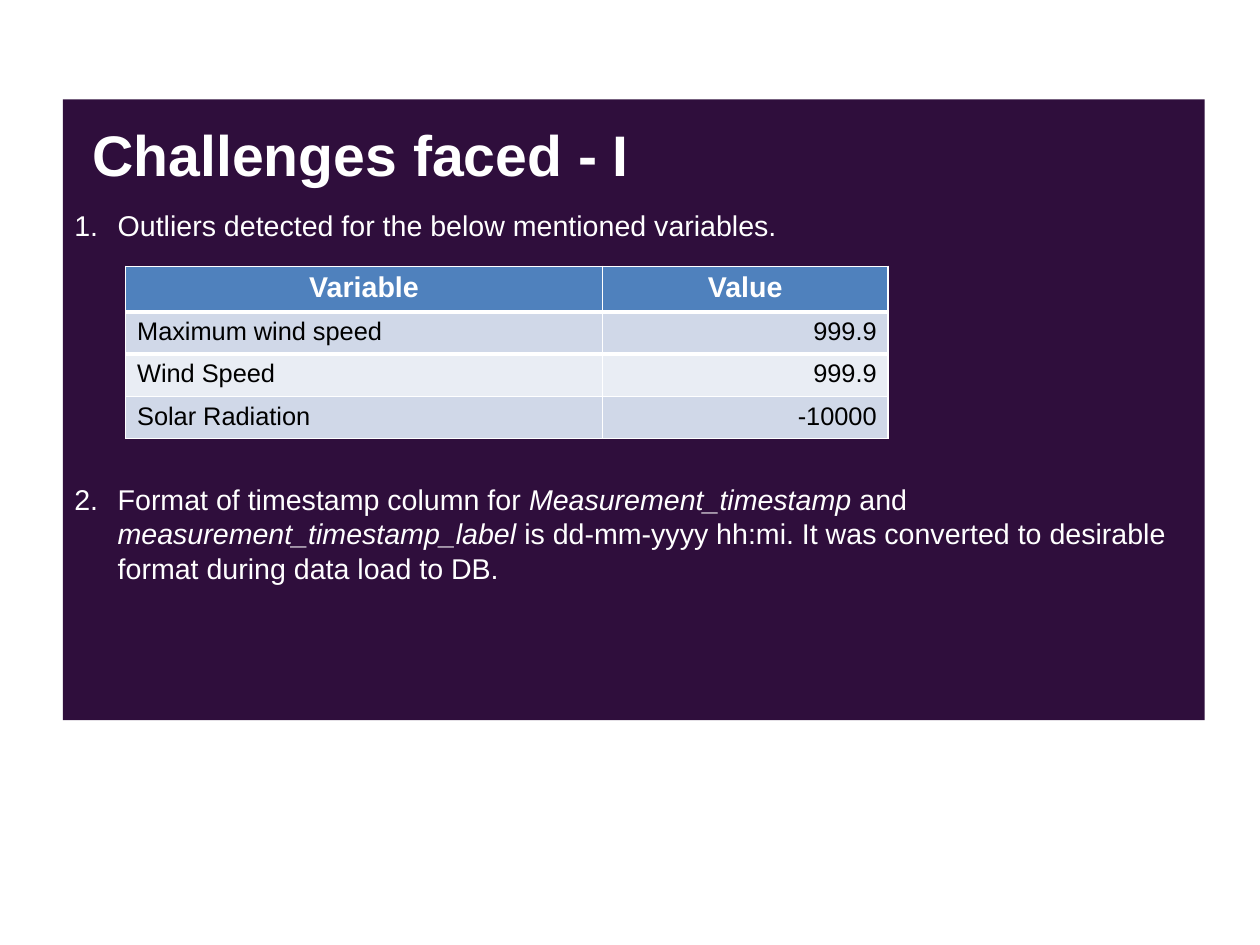
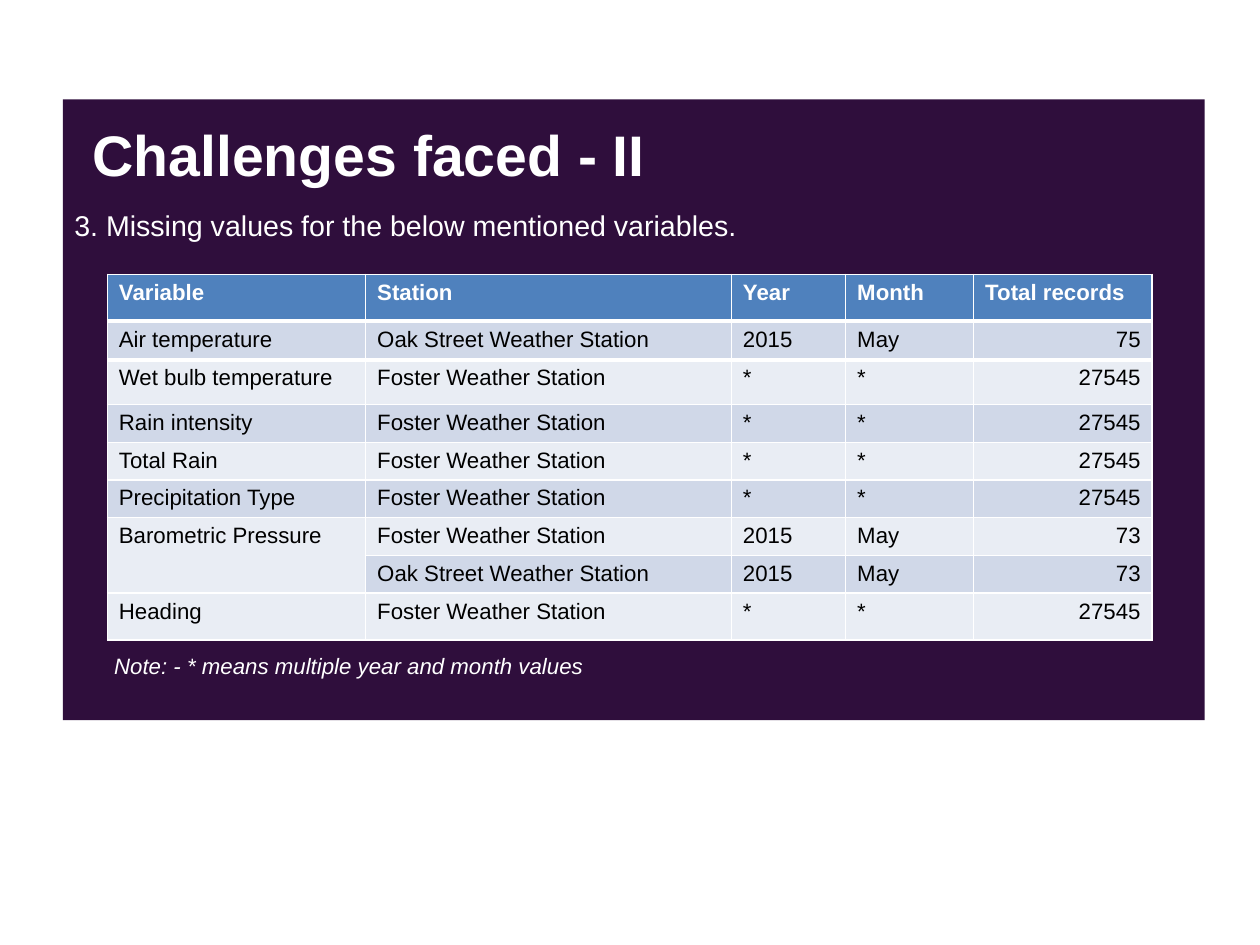
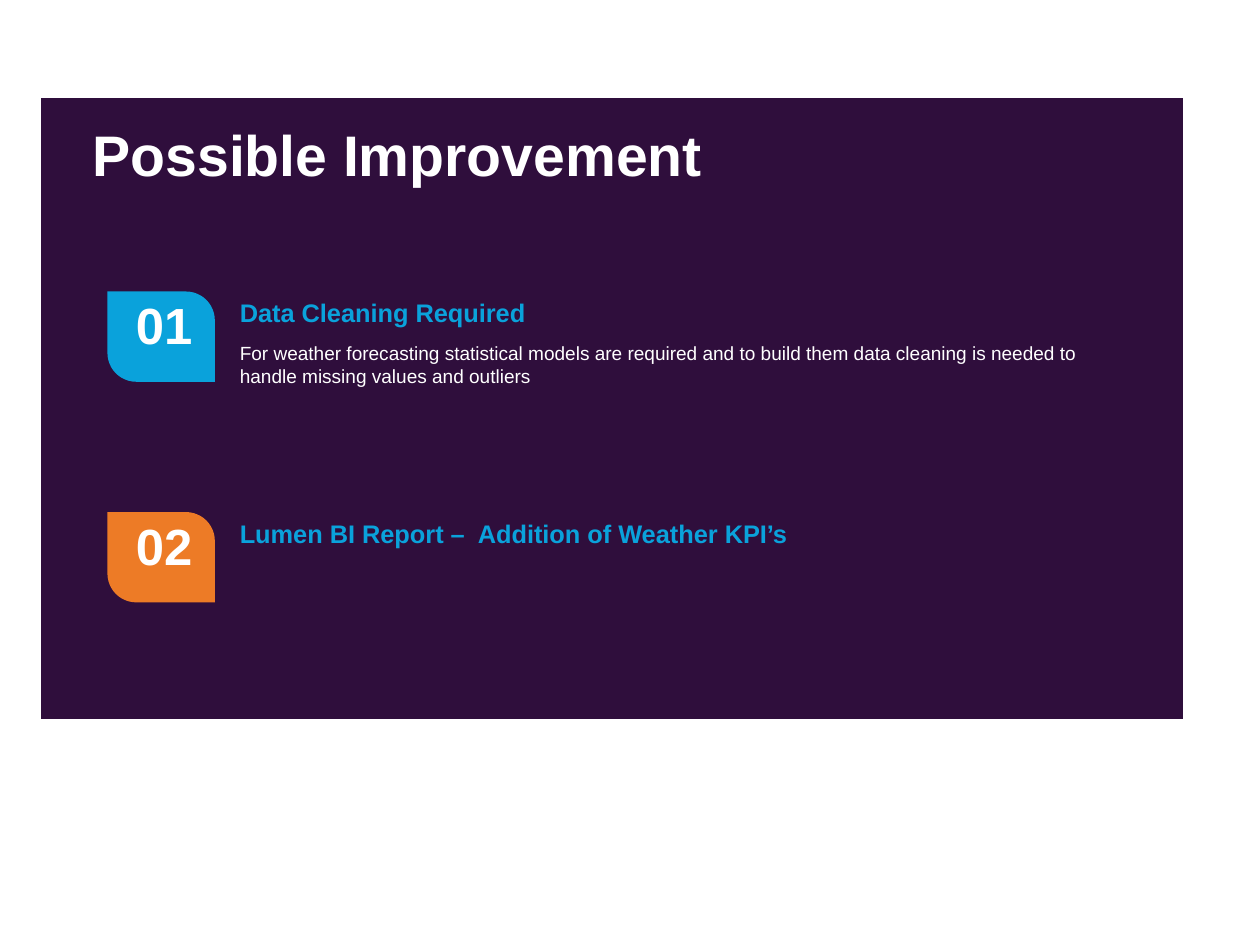
from lxml.etree import SubElement
from pptx import Presentation
from pptx.dml.color import RGBColor
from pptx.enum.shapes import MSO_SHAPE as Shape
from pptx.enum.text import MSO_ANCHOR as Anchor, MSO_AUTO_SIZE as Fit, PP_ALIGN as Align
from pptx.oxml.ns import qn
from pptx.util import Inches, Pt

PLUM = RGBColor(0x2F, 0x0E, 0x3C)
WHITE = RGBColor(0xFF, 0xFF, 0xFF)
BLACK = RGBColor(0, 0, 0)
HEAD = RGBColor(0x4F, 0x81, 0xBD)
BANDS = RGBColor(0xD0, 0xD8, 0xE8), RGBColor(0xE9, 0xED, 0xF4)
CYAN = RGBColor(0x0A, 0xA2, 0xDB)
AMBER = RGBColor(0xED, 0x7B, 0x26)
FONT = "Arial"
LIST, BARE = 1, 5  # layouts: title and content, title only
WIDE, HIGH = 28 / 2.54, 21 / 2.54  # 28 by 21 cm
PANEL = 0.55, 0.87, 9.99, 5.43


def style(para, size, color=WHITE, bold=False, italic=False, align=Align.LEFT):
    font = para.font
    font.name, font.size, font.bold, font.italic = FONT, Pt(size), bold, italic
    font.color.rgb = color
    para.alignment = align


def place(shape, box):
    shape.left, shape.top, shape.width, shape.height = map(Inches, box)


def frame(shape):
    """Set up the text frame of a shape and return it."""
    text = shape.text_frame
    text.word_wrap = True
    text.auto_size = Fit.NONE
    text.vertical_anchor = Anchor.TOP
    return text


def block(slide, kind, box, color):
    shape = slide.shapes.add_shape(kind, *map(Inches, box))
    shape.shadow.inherit = False
    shape.fill.solid()
    shape.fill.fore_color.rgb = color
    shape.line.fill.background()
    return shape


def label(slide, box, words, size, **look):
    text = frame(slide.shapes.add_textbox(*map(Inches, box)))
    text.text = words
    style(text.paragraphs[0], size, **look)


def start(deck, layout, title, panel=PANEL):
    """Add a slide with its dark panel at the back and its title."""
    slide = deck.slides.add_slide(deck.slide_layouts[layout])
    back = block(slide, Shape.RECTANGLE, panel, PLUM).element
    back.getparent().insert(2, back)
    head = slide.shapes.title
    place(head, (0.71, 0.99, 9.69, 0.72))
    text = frame(head)
    text.text = title
    style(text.paragraphs[0], 36, bold=True)
    return slide


def points(slide, items, gap=0, number=True):
    """Fill the body; each item is a list of runs, in turn plain and italic."""
    left, top, width, height = PANEL
    body = slide.placeholders[1]
    place(body, (left, top + 0.9, width, height - 0.9))
    text = frame(body)
    for i, runs in enumerate(items):
        para = text.add_paragraph() if i else text.paragraphs[0]
        para.space_before = Pt(gap if i else 0)
        style(para, 18)
        for j, words in enumerate(runs):
            run = para.add_run()
            run.text = words
            if j % 2:
                run.font.italic = True
        props = para._p.get_or_add_pPr()
        indent = Inches(0.38) if number else 0
        props.set("marL", str(indent))
        props.set("indent", str(-indent))
        mark = props.makeelement(qn("a:buAutoNum" if number else "a:buNone"))
        if number:
            mark.set("type", "arabicPeriod")
        props.find(qn("a:defRPr")).addprevious(mark)


def edge(cell, side, width):
    """Draw a white border on one side of a cell."""
    props = cell._tc.get_or_add_tcPr()
    line = props.makeelement(qn("a:ln" + side), {"w": str(Pt(width))})
    fill = SubElement(line, qn("a:solidFill"))
    SubElement(fill, qn("a:srgbClr"), val=str(WHITE))
    props.insert(0, line)


def grid(slide, left, top, cols, heights, rows, sizes, align=Align.LEFT):
    """Add a banded table; sizes are for the head and the body."""
    box = left, top, sum(cols), sum(heights)
    table = slide.shapes.add_table(len(rows), len(cols), *map(Inches, box)).table
    for col, width in zip(table.columns, cols):
        col.width = Inches(width)
    for i, (row, height) in enumerate(zip(rows, heights)):
        table.rows[i].height = Inches(height)
        for j, words in enumerate(row):
            cell = table.cell(i, j)
            cell.text = words
            cell.fill.solid()
            cell.fill.fore_color.rgb = BANDS[(i - 1) % 2] if i else HEAD
            para = cell.text_frame.paragraphs[0]
            if i:
                side = Align.RIGHT if j == len(cols) - 1 else Align.LEFT
                style(para, sizes[1], BLACK, align=side)
            else:
                style(para, sizes[0], bold=True, align=align)
            if i < 2:
                edge(cell, "T" if i else "B", 3)
    return table


def step(slide, left, top, number, color, title, detail=None):
    badge = block(slide, Shape.ROUND_2_DIAG_RECTANGLE, (left, top, 0.94, 0.79), color)
    badge.adjustments[0] = 0
    badge.adjustments[1] = 0.32
    label(slide, (left + 0.15, top - 0.03, 0.85, 0.59), number, 32, bold=True)
    label(slide, (left + 1.06, top, 7.06, 0.38), title, 16, color=CYAN, bold=True)
    if detail:
        label(slide, (left + 1.06, top + 0.39, 7.53, 0.49), detail, 12)


def outliers(deck):
    slide = start(deck, LIST, "Challenges faced - I")
    points(slide, [
        ["Outliers detected for the below mentioned variables."],
        ["Format of timestamp column for ", "Measurement_timestamp ", "and ",
         "measurement_timestamp_label ",
         "is dd-mm-yyyy hh:mi. It was converted to desirable format during data load to DB."],
    ], gap=151)
    rows = [("Variable", "Value"), ("Maximum wind speed", "999.9"),
            ("Wind Speed", "999.9"), ("Solar Radiation", "-10000")]
    grid(slide, 1.1, 2.33, (4.17, 2.5), [0.4] + [0.37] * 3, rows, (18, 16), Align.CENTER)


def missing(deck):
    slide = start(deck, LIST, "Challenges faced - II")
    points(slide, [["3. Missing values for the below mentioned variables."]], number=False)
    oak, foster = "Oak Street Weather Station", "Foster Weather Station"
    may = "2015", "May"
    many = foster, "*", "*", "27545"
    rows = [
        ("Variable", "Station", "Year", "Month", "Total records"),
        ("Air temperature", oak, *may, "75"),
        ("Wet bulb temperature", *many),
        ("Rain intensity", *many),
        ("Total Rain", *many),
        ("Precipitation Type", *many),
        ("Barometric Pressure", foster, *may, "73"),
        ("", oak, *may, "73"),
        ("Heading", *many),
    ]
    heights = [0.41, 0.34, 0.39] + [0.33] * 5 + [0.41]
    table = grid(slide, 0.94, 2.4, (2.26, 3.2, 1, 1.12, 1.56), heights, rows, (14, 14))
    table.cell(6, 0).merge(table.cell(7, 0))
    label(slide, (0.9, 5.66, 8.91, 0.34),
          "Note: - * means multiple year and month values", 14, italic=True)


def improve(deck):
    slide = start(deck, BARE, "Possible Improvement", (0.36, 0.86, 9.99, 5.43))
    steps = [
        ("01", CYAN, "Data Cleaning Required",
         "For weather forecasting statistical models are required and to build them "
         "data cleaning is needed to handle missing values and outliers"),
        ("02", AMBER, "Lumen BI Report –  Addition of Weather KPI’s"),
    ]
    for i, parts in enumerate(steps):
        step(slide, 0.94, 2.55 + 1.93 * i, *parts)


def main():
    deck = Presentation()
    deck.slide_width, deck.slide_height = Inches(WIDE), Inches(HIGH)
    for build in (outliers, missing, improve):
        build(deck)
    deck.save("out.pptx")


if __name__ == "__main__":
    main()
